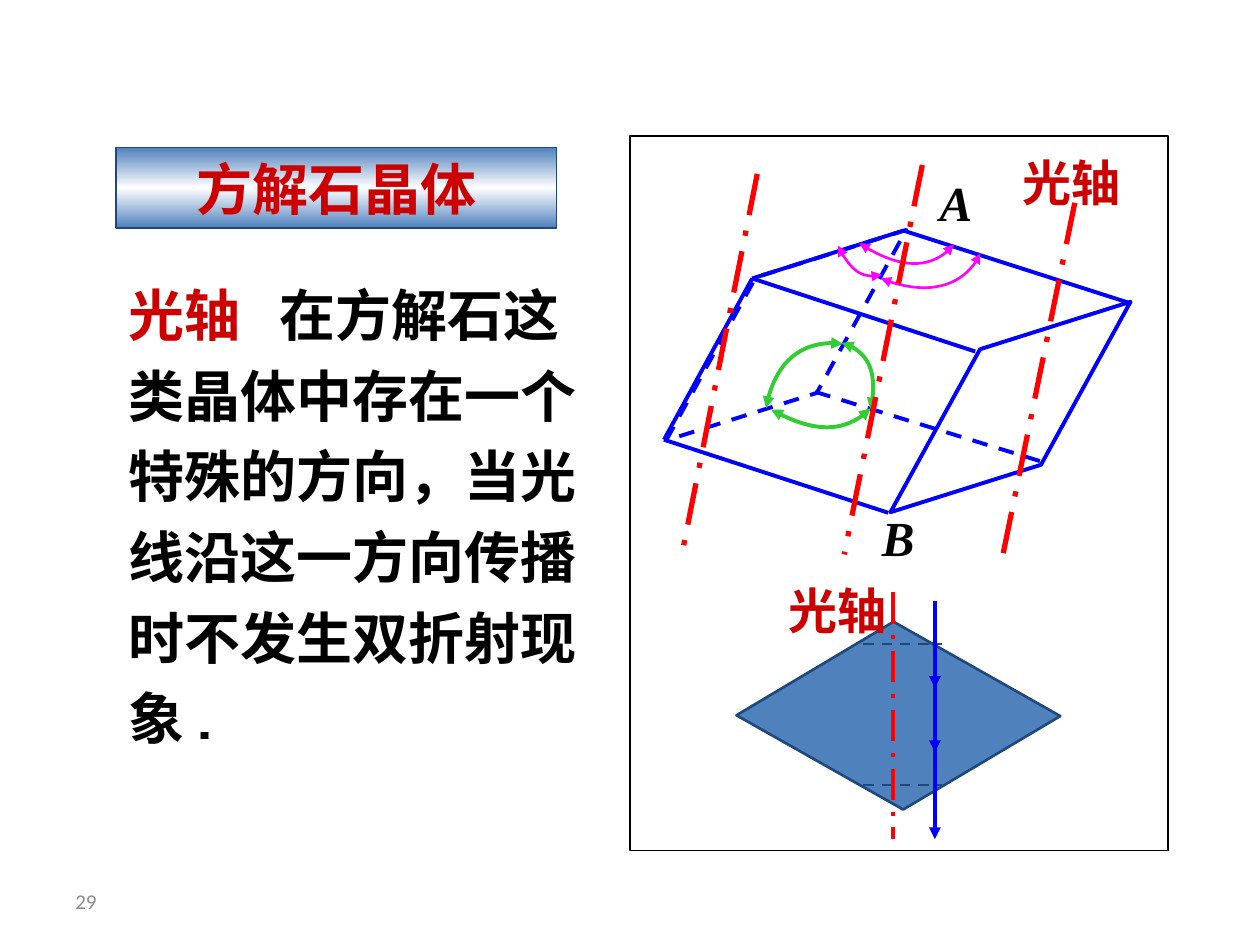
from copy import deepcopy

from lxml.etree import SubElement
from pptx import Presentation
from pptx.dml.color import RGBColor
from pptx.enum.dml import MSO_LINE as Dash
from pptx.enum.shapes import MSO_CONNECTOR as Link, MSO_SHAPE as Form
from pptx.enum.text import MSO_ANCHOR as Anchor, PP_ALIGN as Align
from pptx.oxml.ns import qn
from pptx.util import Cm, Pt

RED, BLUE, STEEL, NAVY = "CC0000", "0000FF", "4F81BD", "1F497D"
AXIS, GREEN, PINK, BLACK, GREY = "FF0000", "33CC33", "FF00FF", "000000", "8C8C8C"
SERIF = "Times New Roman"

# All places are in inches: left, top, width, height
TITLE = "方解石晶体", (0.92, 1.17, 3.5, 0.64)
BODY = [("光轴\t", RED),
        ("在方解石这类晶体中存在一个特殊的方向，当光线沿这一方向传播时不发生双折射现象 .", BLACK)]
BODY_BOX, BODY_TAB = (0.92, 2.07, 4, 3.93), 1.2
PAGE = "29", (0.5, 6.95, 2.33, 0.4)
FRAME = (5, 1.08, 4.27, 5.67)

# Lower section of the crystal: x range and heights of the cuts, ray stages
CUT_X, CUTS = (6.85, 7.48), (5.11, 6.23)
RAY_X, RAYS = 7.42, [(4.77, 5.46), (5.29, 5.97), (5.86, 6.66)]

# Crystal corners
TOP, LEFT, FRONT, RIGHT = (7.17, 1.83), (5.97, 2.21), (7.74, 2.79), (8.95, 2.4)
LOW, BASE, BACK, END = (5.27, 3.49), (7.05, 4.07), (6.47, 3.11), (8.32, 3.68)
EDGES = [(LEFT, TOP), (LEFT, FRONT), (LOW, BASE), (TOP, RIGHT), (LEFT, LOW)]
FACES = [((5.08, 2.15, 2.32, 1.02), Dash.DASH), ((6.86, 2.72, 2.32, 1.02), None)]
AXES = [((7.32, 1.31), (6.7, 4.4)), ((6.01, 1.38), (5.42, 4.36)),
        ((8.53, 1.61), (7.94, 4.5))]

# Angle marks: start, two control points, end
ARCS = [
    (GREEN, 2.25, [(6.91, 3.24), (6.75, 3.42), (6.43, 3.43), (6.12, 3.25)]),
    (PINK, 1.5, [(7.78, 2.01), (7.68, 2.26), (7.32, 2.35), (6.99, 2.21)]),
    (PINK, 1.5, [(7.57, 1.94), (7.43, 2.13), (7.11, 2.13), (6.82, 1.93)]),
    (PINK, 1.5, [(7, 2.18), (6.89, 2.23), (6.73, 2.13), (6.65, 1.95)]),
    (GREEN, 2.25, [(6.68, 2.72), (6.87, 2.76), (6.97, 3), (6.91, 3.25)]),
    (GREEN, 2.25, [(6.08, 3.24), (6.13, 2.91), (6.4, 2.68), (6.69, 2.73)]),
]
LABELS = [("光轴", (6.16, 4.56, 1.55, 0.57), RED, False),
          ("A", (7.36, 1.32, 0.64, 0.57), BLACK, True),
          ("B", (6.9, 3.98, 0.46, 0.57), BLACK, True),
          ("光轴", (8.02, 1.16, 1.32, 0.57), RED, False)]

deck = Presentation()
deck.slide_width, deck.slide_height = Cm(25.4), Cm(19.05)
shapes = deck.slides.add_slide(deck.slide_layouts[6]).shapes


def place(vals):
    """Turn inches into lengths."""
    return [Cm(v * 2.54) for v in vals]


def rgb(code):
    return RGBColor.from_string(code)


def stroke(item, color, width, dash=None, ends=()):
    """Style an outline; ends holds headEnd and/or tailEnd."""
    item.line.color.rgb = rgb(color)
    item.line.width = Pt(width)
    if dash:
        item.line.dash_style = dash
    for end in ends:
        SubElement(item.line._ln, qn("a:" + end), type="triangle")


def line(start, stop, *style):
    item = shapes.add_connector(Link.STRAIGHT, *place(start + stop))
    stroke(item, *style)
    SubElement(item._element.spPr, qn("a:effectLst"))


def solid(form, box, fill, *style):
    item = shapes.add_shape(form, *place(box))
    item.shadow.inherit = False
    if fill:
        item.fill.solid()
        item.fill.fore_color.rgb = rgb(fill)
    else:
        item.fill.background()
    stroke(item, *style)
    return item


def slant(box, turn, skew, fill, *style):
    item = solid(Form.PARALLELOGRAM, box, fill, *style)
    item.rotation = turn
    item.adjustments[0] = skew


def arc(color, width, points):
    """Draw one cubic curve with an arrowhead at each end."""
    first, *rest = [place(p) for p in points]
    pen = shapes.build_freeform(*first)
    pen.add_line_segments(rest, close=False)
    item = pen.convert_to_shape()
    item.shadow.inherit = False
    item.fill.background()
    stroke(item, color, width, None, ("headEnd", "tailEnd"))
    track = item._element.find(".//" + qn("a:path"))
    steps = track.findall(qn("a:lnTo"))
    curve = SubElement(track, qn("a:cubicBezTo"))
    for step in steps:
        curve.append(step[0])
        track.remove(step)


def write(para, runs, size, name, bold=True, italic=False):
    font = para.font
    font.size, font.name, font.bold, font.italic = Pt(size), name, bold, italic
    for text, color in runs:
        run = para.add_run()
        run.text = text
        run.font.color.rgb = rgb(color)


def label(box, anchor=Anchor.TOP):
    frame = shapes.add_textbox(*place(box)).text_frame
    frame.word_wrap = True
    frame.vertical_anchor = anchor
    return frame.paragraphs[0]


def banner(text, box):
    item = solid(Form.RECTANGLE, box, STEEL, NAVY, 0.75)
    item.fill.gradient()
    item.fill.gradient_angle = 90
    for stop in item.fill.gradient_stops:
        stop.color.rgb = rgb(STEEL)
    stops = item._element.find(".//" + qn("a:gsLst"))
    stops.insert(1, deepcopy(stops[0]))
    for stop, spot in zip(item.fill.gradient_stops, (0, 0.5, 1)):
        stop.position = spot
    item.fill.gradient_stops[1].color.rgb = rgb("FFFFFF")
    para = item.text_frame.paragraphs[0]
    para.alignment = Align.CENTER
    write(para, [(text, RED)], 32, SERIF)


def main():
    number, box = PAGE
    write(label(box, Anchor.MIDDLE), [(number, GREY)], 12, "Calibri", False)
    banner(*TITLE)

    para = label(BODY_BOX)
    tabs = SubElement(para._p.get_or_add_pPr(), qn("a:tabLst"))
    SubElement(tabs, qn("a:tab"), pos=str(place([BODY_TAB])[0]), algn="l")
    para.line_spacing = 1.2
    write(para, BODY, 32, "Roboto Slab")

    solid(Form.RECTANGLE, FRAME, None, BLACK, 0.75)
    slant((6.01, 5.05, 2.24, 1.26), 29.5, 0.571, STEEL, NAVY, 1.5)
    for y in CUTS:
        line((CUT_X[0], y), (CUT_X[1], y), NAVY, 1.5, Dash.DASH)
    for top, tip in RAYS:
        line((RAY_X, top), (RAY_X, tip), BLUE, 2.25, None, ("tailEnd",))
    line((7.09, 4.7), (7.09, 6.66), AXIS, 2.25, Dash.LONG_DASH_DOT)

    for box, dash in FACES:
        slant(box, 342.5, 1.046, None, BLUE, 2.25, dash)
    for edge in EDGES:
        line(*edge, BLUE, 2.25)
    line(BACK, END, BLUE, 2.25, Dash.DASH)
    for mark in ARCS:
        arc(*mark)
    for axis in AXES:
        line(*axis, AXIS, 3, Dash.LONG_DASH_DOT)
    for text, box, color, italic in LABELS:
        write(label(box), [(text, color)], 28, SERIF, True, italic)

    deck.save("out.pptx")


if __name__ == "__main__":
    main()
